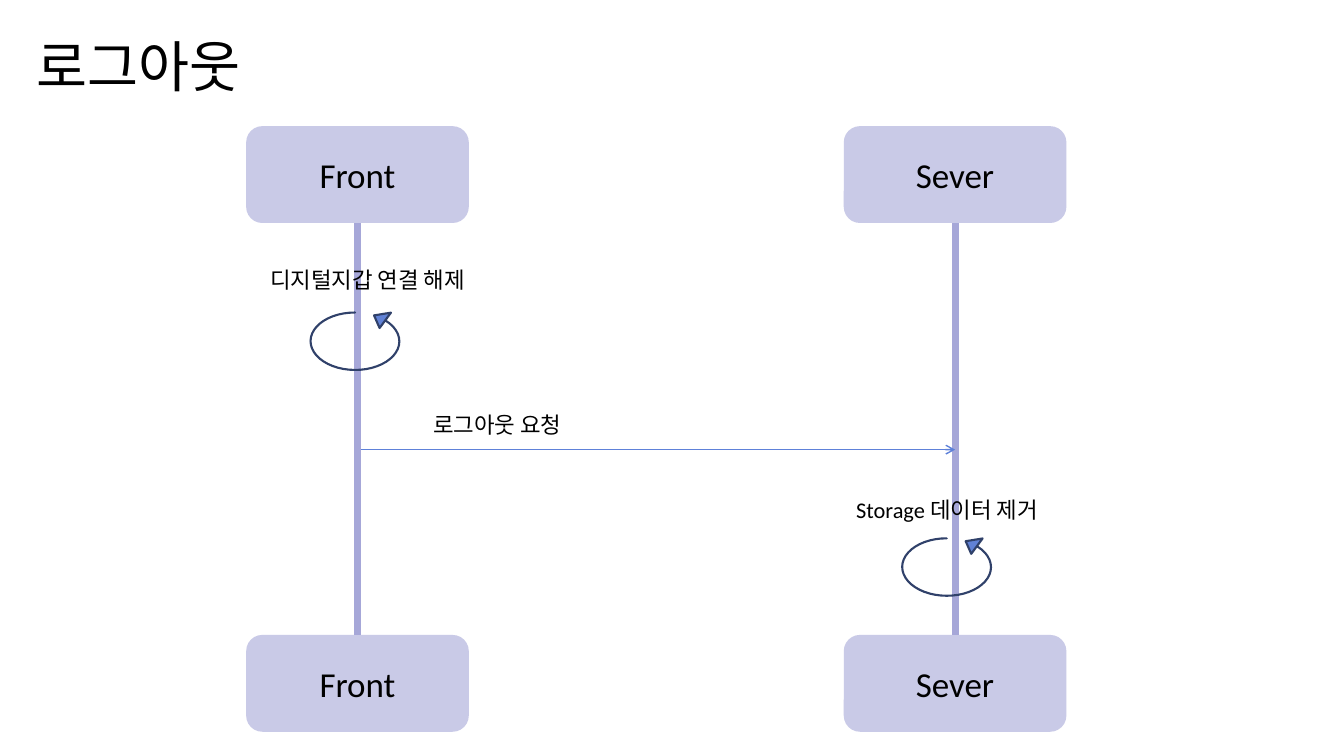
"""Build the logout sequence diagram slide."""
from dataclasses import dataclass

from lxml import etree
from pptx import Presentation
from pptx.dml.color import RGBColor
from pptx.enum.shapes import MSO_CONNECTOR, MSO_SHAPE
from pptx.enum.text import MSO_ANCHOR, MSO_AUTO_SIZE, PP_ALIGN
from pptx.oxml.ns import qn
from pptx.util import Cm, Pt

STRAIGHT = MSO_CONNECTOR.STRAIGHT
ROUNDED = MSO_SHAPE.ROUNDED_RECTANGLE
LOOP_ARROW = MSO_SHAPE.LEFT_CIRCULAR_ARROW
MIDDLE = MSO_ANCHOR.MIDDLE
NO_AUTOFIT = MSO_AUTO_SIZE.NONE
LEFT, CENTER = PP_ALIGN.LEFT, PP_ALIGN.CENTER

FONT = "Calibri"
BLACK, LAVENDER, BLUE, LOOP_BLUE, NAVY = "000000", "A6A7D8", "5E81D9", "6182D6", "30416A"
HEAD_WIDTH, HEAD_HEIGHT = 5.61, 2.44
HEAD_TOP, FOOT_TOP = 3.18, 16.0
LOOP_WIDTH, LOOP_HEIGHT = 1.93, 2.72
LOOP_SHAPE = (0, -11.42, 141.07, 108, 0.125)
LABEL_HEIGHT = 1.4


@dataclass(frozen=True)
class Participant:
    """A lifeline and its centre, in centimetres."""
    name: str
    center: float


@dataclass(frozen=True)
class Label:
    """A caption and its place, in centimetres."""
    text: str
    left: float
    top: float
    width: float


@dataclass(frozen=True)
class Loop:
    """The place of a self-call arrow, in centimetres."""
    left: float
    top: float


PARTICIPANTS = (Participant("Front", 9.01), Participant("Sever", 24.07))
LABELS = (
    Label("Storage 데이터 제거", 20.17, 12.14, 7.39),
    Label("디지털지갑 연결 해제", 6.05, 6.35, 6.43),
    Label("로그아웃 요청", 9.32, 10.01, 6.43),
)
LOOPS = (Loop(7.98, 7.24), Loop(22.89, 12.93))


def color(value: str) -> RGBColor:
    """Turn a hex string into a colour."""
    return RGBColor.from_string(value)


def write(frame, text: str, size: float, align=CENTER) -> None:
    """Put one formatted paragraph into a text frame."""
    frame.text = text
    frame.word_wrap = True
    frame.auto_size = NO_AUTOFIT
    frame.vertical_anchor = MIDDLE
    paragraph = frame.paragraphs[0]
    paragraph.alignment = align
    paragraph.font.name = FONT
    paragraph.font.size = Pt(size)
    paragraph.font.color.rgb = color(BLACK)


def add_head(slide, participant: Participant, top: float) -> None:
    """Draw a translucent participant box."""
    head = slide.shapes.add_shape(
        ROUNDED, Cm(participant.center - HEAD_WIDTH / 2), Cm(top), Cm(HEAD_WIDTH), Cm(HEAD_HEIGHT))
    head.shadow.inherit = False
    head.fill.solid()
    head.fill.fore_color.rgb = color(LAVENDER)
    fill_color = head.fill._xPr.find(qn("a:solidFill"))[0]
    etree.SubElement(fill_color, qn("a:alpha"), val="60000")
    head.line.fill.background()
    write(head.text_frame, participant.name, 25)


def add_line(slide, start: tuple[float, float], end: tuple[float, float],
             stroke: str, width: float, arrow: bool = False) -> None:
    """Draw a straight line, with an open arrowhead if asked."""
    connector = slide.shapes.add_connector(STRAIGHT, *map(Cm, start + end))
    connector.line.color.rgb = color(stroke)
    connector.line.width = Pt(width)
    if arrow:
        etree.SubElement(connector.line._get_or_add_ln(), qn("a:tailEnd"), type="arrow")
    etree.SubElement(connector._element.spPr, qn("a:effectLst"))


def add_loop(slide, loop: Loop) -> None:
    """Draw a self-call arrow."""
    arrow = slide.shapes.add_shape(
        LOOP_ARROW, Cm(loop.left), Cm(loop.top), Cm(LOOP_WIDTH), Cm(LOOP_HEIGHT))
    for index, value in enumerate(LOOP_SHAPE):
        arrow.adjustments[index] = value
    arrow.rotation = 90.3
    arrow.shadow.inherit = False
    arrow.fill.solid()
    arrow.fill.fore_color.rgb = color(LOOP_BLUE)
    arrow.line.color.rgb = color(NAVY)
    arrow.line.width = Pt(1.5)


def add_label(slide, label: Label) -> None:
    """Write a caption."""
    caption = slide.shapes.add_textbox(
        Cm(label.left), Cm(label.top), Cm(label.width), Cm(LABEL_HEIGHT))
    write(caption.text_frame, label.text, 16)


def main() -> None:
    """Build and save the slide."""
    deck = Presentation()
    deck.slide_width, deck.slide_height = Cm(33.87), Cm(19.05)
    slide = deck.slides.add_slide(deck.slide_layouts[5])

    title = slide.shapes.title
    title.left, title.top, title.width, title.height = Cm(0.66), Cm(0.64), Cm(27.71), Cm(2.03)
    write(title.text_frame, "로그아웃", 39.6, LEFT)

    for top in (HEAD_TOP, FOOT_TOP):
        for participant in PARTICIPANTS:
            add_head(slide, participant, top)
    for participant in PARTICIPANTS:
        add_line(slide, (participant.center, HEAD_TOP + HEAD_HEIGHT),
                 (participant.center, FOOT_TOP), LAVENDER, 5)

    front, server = PARTICIPANTS
    add_line(slide, (front.center + 0.08, 11.33), (server.center, 11.33), BLUE, 1, arrow=True)
    for loop in LOOPS:
        add_loop(slide, loop)
    for label in LABELS:
        add_label(slide, label)

    deck.save("out.pptx")


main()
